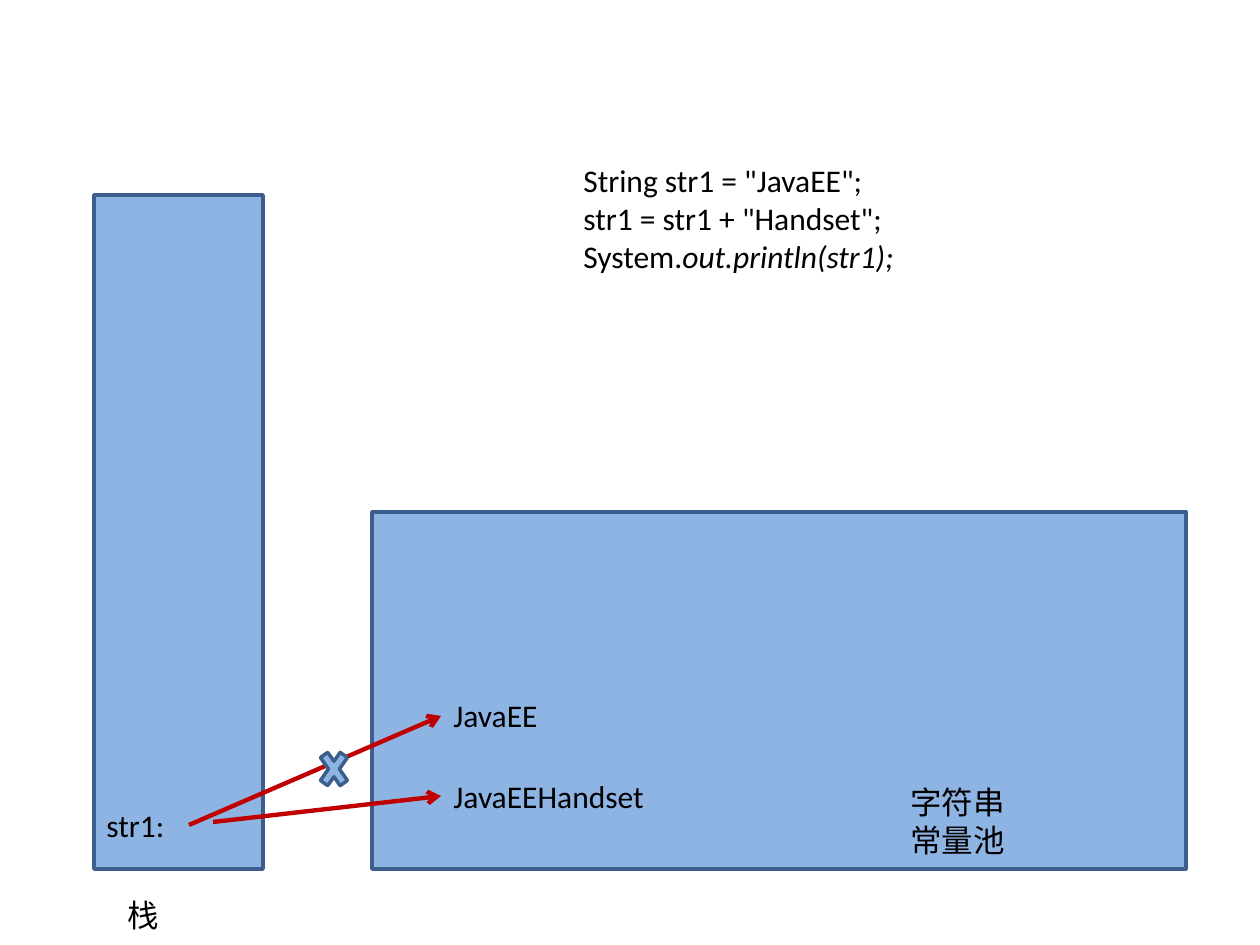
from lxml import etree
from pptx import Presentation
from pptx import util as u
from pptx.dml.color import RGBColor
from pptx.enum import shapes, text
from pptx.oxml import ns

PX = u.Inches(1) / 126
COLORS = {"fill": "8EB4E3", "edge": "3A5F8C", "arrow": "C00000", "text": "000000"}
FONT = "Calibri"


def px(*lengths):
    return [u.Emu(round(length * PX)) for length in lengths]


def color(name):
    return RGBColor.from_string(COLORS[name])


def add_block(page, kind, *bounds):
    block = page.shapes.add_shape(kind, *px(*bounds))
    block.shadow.inherit = False
    block.fill.solid()
    block.fill.fore_color.rgb = color("fill")
    block.line.color.rgb = color("edge")
    block.line.width = u.Pt(2)


def add_text(page, content, *bounds):
    box = page.shapes.add_textbox(*px(*bounds))
    frame = box.text_frame
    frame.word_wrap = True
    frame.auto_size = text.MSO_AUTO_SIZE.SHAPE_TO_FIT_TEXT
    frame.text = content
    for para in frame.paragraphs:
        for span in para.runs:
            format_span(span)
    return frame


def format_span(span, italic=None):
    span.font.name = FONT
    span.font.size = u.Pt(18)
    span.font.color.rgb = color("text")
    span.font.italic = italic


def add_arrow(page, *ends):
    arrow = page.shapes.add_connector(shapes.MSO_CONNECTOR.STRAIGHT, *px(*ends))
    arrow.line.color.rgb = color("arrow")
    arrow.line.width = u.Pt(2.5)
    etree.SubElement(arrow.line._get_or_add_ln(), ns.qn("a:tailEnd"), type="arrow")
    etree.SubElement(arrow._element.spPr, ns.qn("a:effectLst"))


def add_code(page):
    code = 'String str1 = "JavaEE";\nstr1 = str1 + "Handset";\nSystem.'
    frame = add_text(page, code, 571, 155, 630, 127)
    call = frame.paragraphs[-1].add_run()
    call.text = "out.println(str1);"
    format_span(call, italic=True)


def main():
    deck = Presentation()
    deck.slide_width, deck.slide_height = px(1260, 945)
    page = deck.slides.add_slide(deck.slide_layouts[6])
    rectangle = shapes.MSO_SHAPE.RECTANGLE

    add_code(page)
    add_block(page, rectangle, 94, 195, 169, 674)
    add_block(page, rectangle, 372, 512, 814, 357)
    add_text(page, "栈", 115, 890, 139, 50)
    add_text(page, "字符串常量池", 898, 777, 139, 89)
    add_text(page, "str1:", 94, 800, 189, 50)
    add_text(page, "JavaEE", 441, 690, 139, 50)
    add_arrow(page, 189, 825, 441, 716)
    add_text(page, "JavaEEHandset", 441, 771, 268, 50)
    add_arrow(page, 213, 822, 441, 796)
    add_block(page, shapes.MSO_SHAPE.MATH_MULTIPLY, 315, 742, 38, 54)

    deck.save("out.pptx")


if __name__ == "__main__":
    main()
